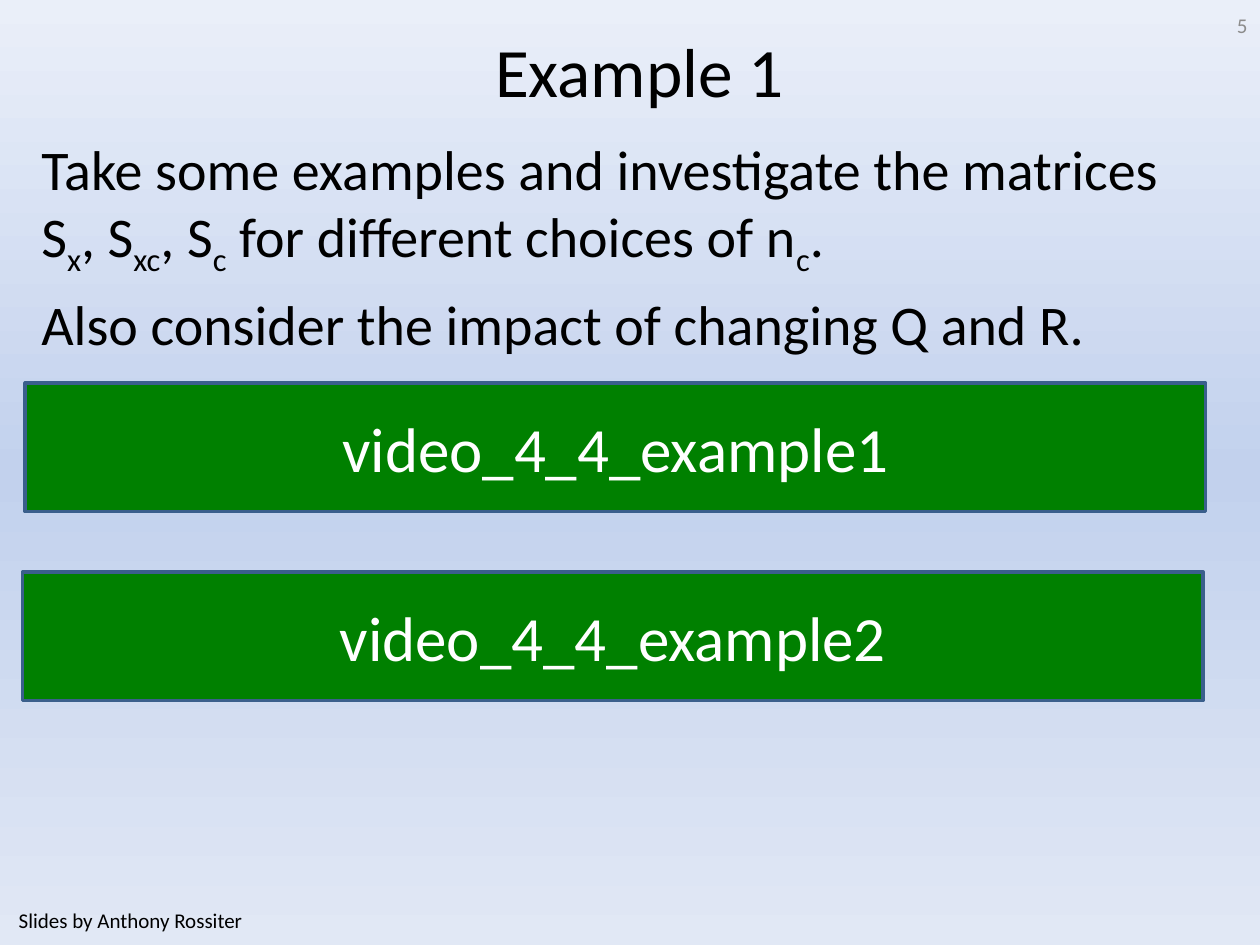
from copy import deepcopy
from dataclasses import dataclass

from pptx import Presentation
from pptx.dml.color import RGBColor
from pptx.enum.shapes import MSO_SHAPE as Shape
from pptx.enum.text import MSO_ANCHOR as Anchor, PP_ALIGN as Align
from pptx.oxml.ns import qn
from pptx.slide import Slide
from pptx.text.text import TextFrame
from pptx.util import Inches, Pt

BLACK = RGBColor(0x00, 0x00, 0x00)
WHITE = RGBColor(0xFF, 0xFF, 0xFF)
GREY = RGBColor(0x8C, 0x8C, 0x8C)
GREEN = RGBColor(0x00, 0x80, 0x00)
BLUE = RGBColor(0x3A, 0x5F, 0x8C)
SKY = (
    (0.0, RGBColor(0xEA, 0xEF, 0xF9)),
    (0.5, RGBColor(0xC2, 0xD1, 0xED)),
    (1.0, RGBColor(0xE1, 0xE8, 0xF5)),
)
FONT = "Calibri"
SUBSCRIPT = "-25000"


@dataclass(frozen=True)
class Area:
    left: float
    top: float
    width: float
    height: float

    def lengths(self) -> tuple[Inches, ...]:
        return tuple(map(Inches, (self.left, self.top, self.width, self.height)))


@dataclass(frozen=True)
class VideoBar:
    label: str
    left: float
    top: float


VIDEO_BARS = (
    VideoBar("video_4_4_example1", 0.2, 3.04),
    VideoBar("video_4_4_example2", 0.18, 4.54),
)
BODY = (
    "Take some examples and investigate the matrices "
    "S~x~, S~xc~, S~c~ for different choices of n~c~.",
    "Also consider the impact of changing Q and R.",
)


def write_text(frame: TextFrame, *lines: str, size: float, color: RGBColor = BLACK,
               align: Align = Align.CENTER, anchor: Anchor = Anchor.MIDDLE,
               gap: float = 0) -> None:
    """Write one paragraph per line; text between tildes is subscript."""
    frame.word_wrap = True
    frame.vertical_anchor = anchor
    for index, line in enumerate(lines):
        para = frame.add_paragraph() if index else frame.paragraphs[0]
        para.alignment = align
        para.space_before = Pt(gap if index else 0)
        for part, text in enumerate(line.split("~")):
            span = para.add_run()
            span.text = text
            span.font.name = FONT
            span.font.size = Pt(size)
            span.font.color.rgb = color
            if part % 2:
                span.font._element.set("baseline", SUBSCRIPT)


def add_text(page: Slide, area: Area, *lines: str, **style) -> None:
    box = page.shapes.add_textbox(*area.lengths())
    write_text(box.text_frame, *lines, **style)


def add_video_bar(page: Slide, bar: VideoBar) -> None:
    area = Area(bar.left, bar.top, 9.37, 1.02)
    box = page.shapes.add_shape(Shape.RECTANGLE, *area.lengths())
    box.shadow.inherit = False
    box.fill.solid()
    box.fill.fore_color.rgb = GREEN
    box.line.color.rgb = BLUE
    box.line.width = Pt(2)
    write_text(box.text_frame, bar.label, size=36, color=WHITE)


def paint_background(page: Slide) -> None:
    fill = page.background.fill
    fill.gradient()
    fill.gradient_angle = 270
    stop_list = page.element.find(f".//{qn('a:gsLst')}")
    stop_list.append(deepcopy(stop_list[-1]))
    for stop, (position, color) in zip(fill.gradient_stops, SKY):
        stop.position = position
        stop.color.rgb = color


def main() -> None:
    deck = Presentation()
    deck.slide_width, deck.slide_height = Inches(10), Inches(7.5)
    page = deck.slides.add_slide(deck.slide_layouts[6])
    paint_background(page)
    add_text(page, Area(0.7, 0.16, 8.75, 0.78), "Example 1", size=39.6)
    add_text(page, Area(0.23, 1.02, 9.53, 1.87), *BODY, size=32,
             align=Align.LEFT, anchor=Anchor.TOP, gap=6.4)
    add_text(page, Area(0, 7.1, 2.11, 0.4), "Slides by Anthony Rossiter ", size=12)
    add_text(page, Area(8.91, 0, 1.09, 0.4), "5", size=12, color=GREY, align=Align.RIGHT)
    for bar in VIDEO_BARS:
        add_video_bar(page, bar)
    deck.save("out.pptx")


if __name__ == "__main__":
    main()
